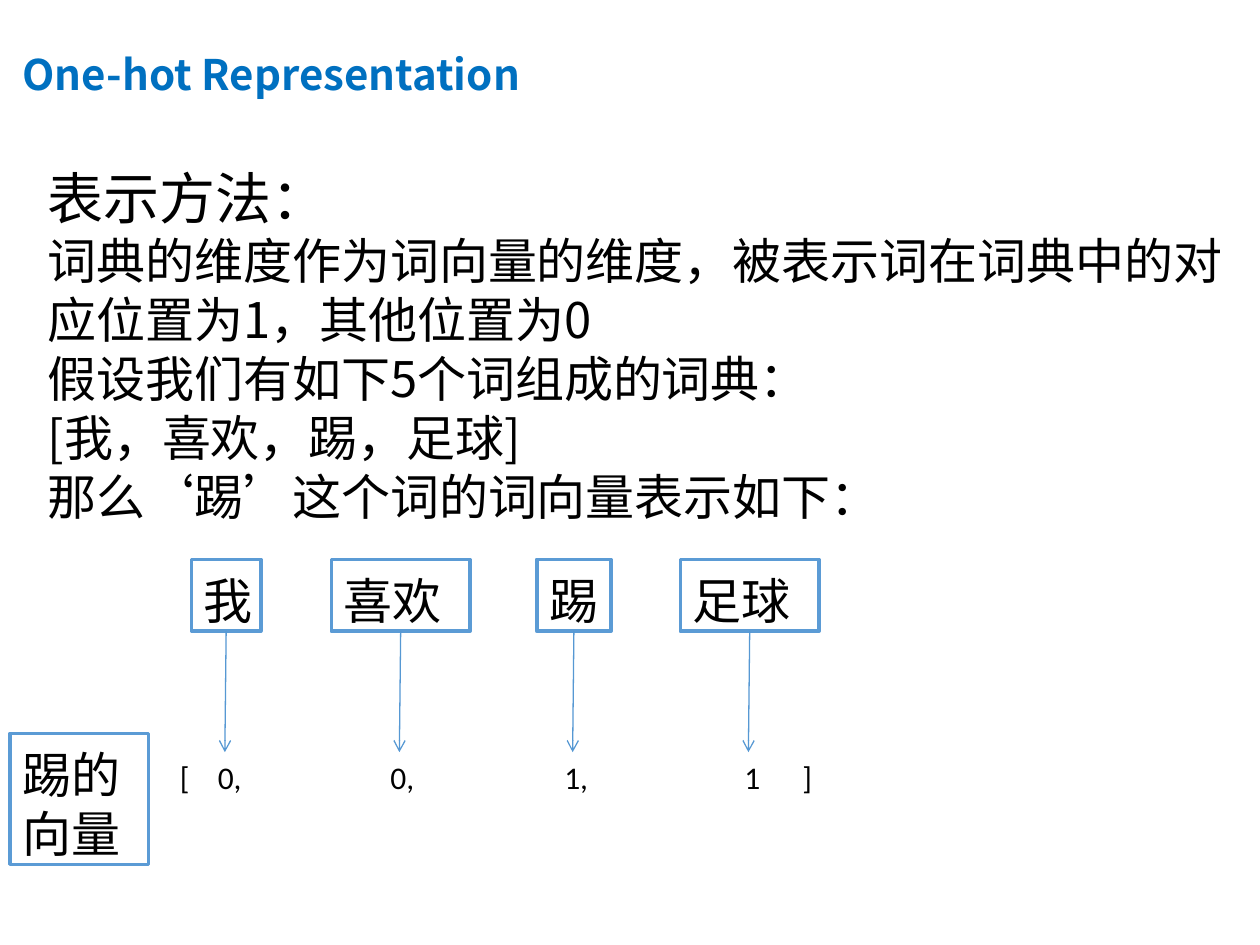
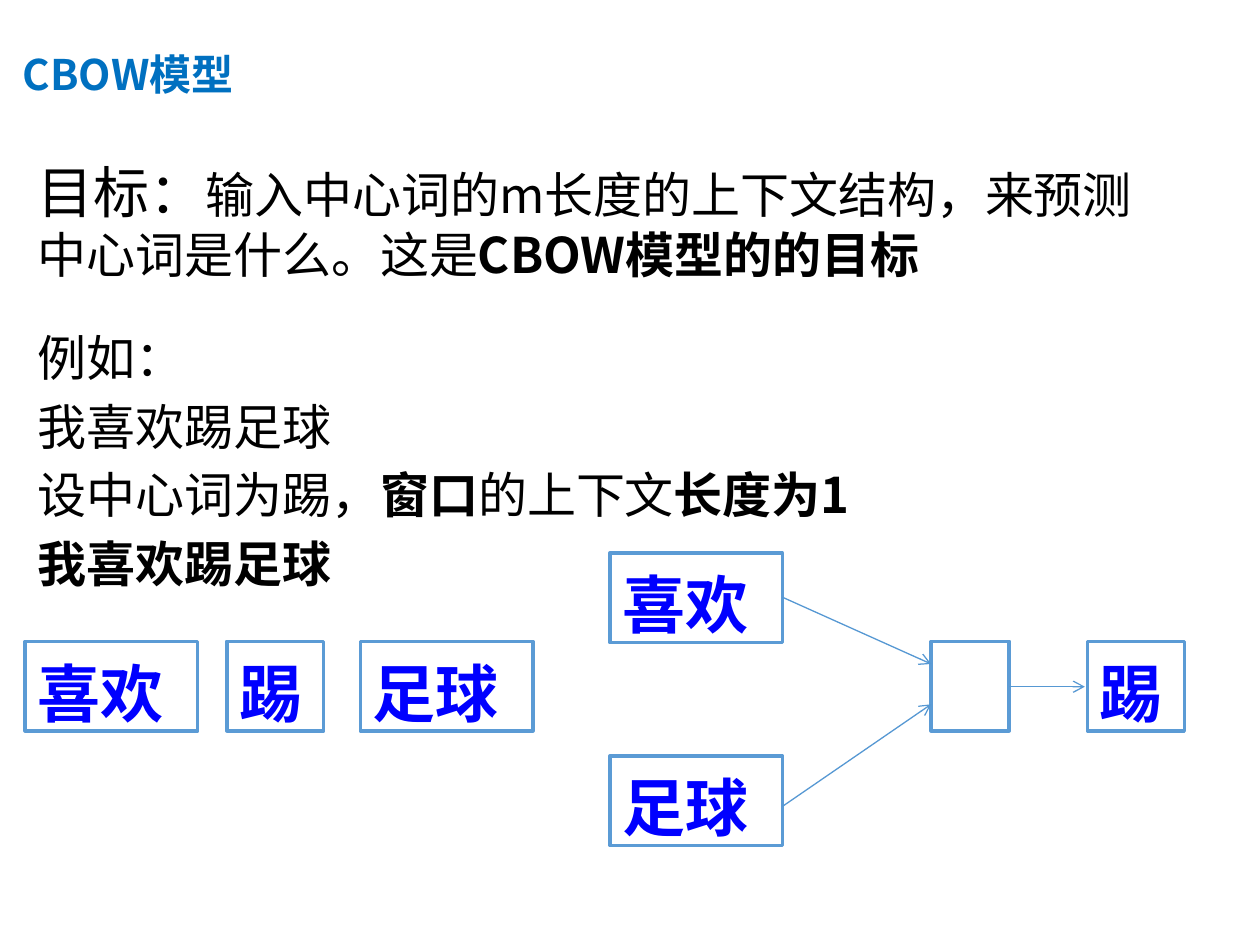
"""Two slides on word vectors: one-hot representation and the CBOW model."""
from lxml import etree
from pptx import Presentation
from pptx import util as u
from pptx.dml.color import RGBColor
from pptx.enum import shapes, text
from pptx.oxml.ns import qn

BLUE = RGBColor(0x00, 0x70, 0xC0)
EDGE = RGBColor(0x5B, 0x9B, 0xD5)
LINK = RGBColor(0x56, 0x98, 0xD3)
WORD = RGBColor(0x00, 0x00, 0xFF)
BLACK = RGBColor(0x00, 0x00, 0x00)
WHITE = RGBColor(0xFF, 0xFF, 0xFF)
NOTO = "Noto Sans CJK SC"

deck = Presentation()
deck.slide_width, deck.slide_height = u.Inches(10), u.Inches(7.5)
COL, ROW = deck.slide_width / 100, deck.slide_height / 75


def grid(x, y, *span):
    """Turn columns and rows into lengths."""
    return [int(n * unit) for n, unit in zip((x, y, *span), (COL, ROW) * 2)]


def write(frame, lines, size=28, font=NOTO, color=BLACK, bold=False,
          lead=1.2, gap=0, top=None, anchor=text.MSO_ANCHOR.TOP):
    """Fill a frame; a line is a string or a list of (text, format) runs."""
    frame.word_wrap = True
    frame.auto_size = text.MSO_AUTO_SIZE.NONE
    frame.vertical_anchor = anchor
    if lead:
        frame.margin_top = u.Inches(top or 0.05 + size * 0.0014)
    for i, line in enumerate(lines):
        para = frame.add_paragraph() if i else frame.paragraphs[0]
        para.alignment = text.PP_ALIGN.LEFT
        para.space_before = u.Pt(gap)
        runs = [(line, {})] if isinstance(line, str) else line
        if lead:
            tall = runs[0][1].get("size", size) if len(lines) > 1 else size
            para.line_spacing = u.Pt(lead * tall)
        for words, look in runs:
            run = para.add_run()
            run.text = words
            run.font.size = u.Pt(look.get("size", size))
            run.font.bold = look.get("bold", bold)
            run.font.color.rgb = color
            run.font.name = font
            east = etree.SubElement(run._r.get_or_add_rPr(), qn("a:ea"))
            east.set("typeface", NOTO)


pages = []
for layout, name in ((5, "One-hot Representation"), (1, "CBOW模型")):
    page = deck.slides.add_slide(deck.slide_layouts[layout])
    head = page.shapes.title
    head.left, head.top, head.width, head.height = grid(0.8, -0.4, 90, 12.5)
    write(head.text_frame, [name], size=24, color=BLUE, bold=True, lead=None,
          anchor=text.MSO_ANCHOR.MIDDLE)
    pages.append(page)
hot, cbow = pages

intro = hot.shapes.add_textbox(*grid(2.8, 12.1, 97.2, 30.5))
write(intro.text_frame, [
    [("表示方法：", {"size": 32})],
    "词典的维度作为词向量的维度，被表示词在词典中的对应位置为1，其他位置为0",
    "假设我们有如下5个词组成的词典：",
    "[我，喜欢，踢，足球]",
    "那么‘踢’这个词的词向量表示如下：",
])

row = hot.shapes.add_textbox(*grid(13.3, 59.7, 54.8, 4))
write(row.text_frame, ["[\t0,\t0,\t1,\t1\t]"], size=18, font="Calibri", lead=None)
props = row.text_frame.paragraphs[0]._p.get_or_add_pPr()
tabs = etree.SubElement(props, qn("a:tabLst"))
for stop in (3, 16.7, 30.5, 44.8, 49.4):
    etree.SubElement(tabs, qn("a:tab"), pos=str(int(stop * COL)), algn="l")

goal = cbow.shapes.add_textbox(*grid(2, 11.6, 92.1, 12))
write(goal.text_frame, [[
    ("目标：", {"size": 32}),
    ("输入中心词的m长度的上下文结构，来预测中心词是什么。这是", {}),
    ("CBOW模型的的目标", {"bold": True}),
]], top=0.16)

case = cbow.placeholders[1]
case.left, case.top, case.width, case.height = grid(2, 25.1, 96.1, 22.3)
strong = {"bold": True}
write(case.text_frame, [
    "例如：",
    "我喜欢踢足球",
    [("设中心词为踢，", {}), ("窗口", strong), ("的上下文", {}), ("长度为1", strong)],
    [("我喜欢踢足球", strong)],
], gap=5.6)
for para in case.text_frame.paragraphs:
    props = para._p.get_or_add_pPr()
    props.set("marL", "0")
    props.set("indent", "0")
    etree.SubElement(props, qn("a:buNone"))

small = {"size": 28}
large = {"size": 36, "font": "Arial", "color": WORD, "bold": True}
boxes = [(hot, 0.8, 58.2, 11, 10.4, "踢的向量", small)]
links = []
for x, wide, word in ((15.2, 5.5, "我"), (26.3, 11, "喜欢"),
                      (42.6, 5.9, "踢"), (54, 11, "足球")):
    boxes.append((hot, x, 44.4, wide, 5.7, word, small))
    mid = x + wide / 2
    links.append((hot, mid, 50.1, mid - 0.1, 59.7))

for x, y, wide, word in (
        (2, 50.9, 13.7, "喜欢"), (18, 50.9, 7.7, "踢"), (28.6, 50.9, 13.7, "足球"),
        (48.4, 43.9, 13.7, "喜欢"), (48.4, 60, 13.7, "足球"),
        (73.9, 50.9, 6.2, ""), (86.3, 50.9, 7.7, "踢")):
    boxes.append((cbow, x, y, wide, 7.1, word, large))
links += [(cbow, 62.1, 47.4, 73.9, 52.7), (cbow, 62.1, 64, 73.9, 55.9),
          (cbow, 80.1, 54.5, 86.1, 54.5)]

for page, x, y, wide, high, word, look in boxes:
    box = page.shapes.add_shape(shapes.MSO_SHAPE.RECTANGLE, *grid(x, y, wide, high))
    box.shadow.inherit = False
    box.fill.solid()
    box.fill.fore_color.rgb = WHITE
    box.line.color.rgb = EDGE
    box.line.width = u.Pt(2)
    if word:
        write(box.text_frame, [word], **look)

for page, *ends in links:
    link = page.shapes.add_connector(shapes.MSO_CONNECTOR.STRAIGHT, *grid(*ends))
    link.line.color.rgb = LINK
    link.line.width = u.Pt(0.75)
    etree.SubElement(link.line._get_or_add_ln(), qn("a:tailEnd"), type="arrow")
    etree.SubElement(link._element.spPr, qn("a:effectLst"))

deck.save("out.pptx")
